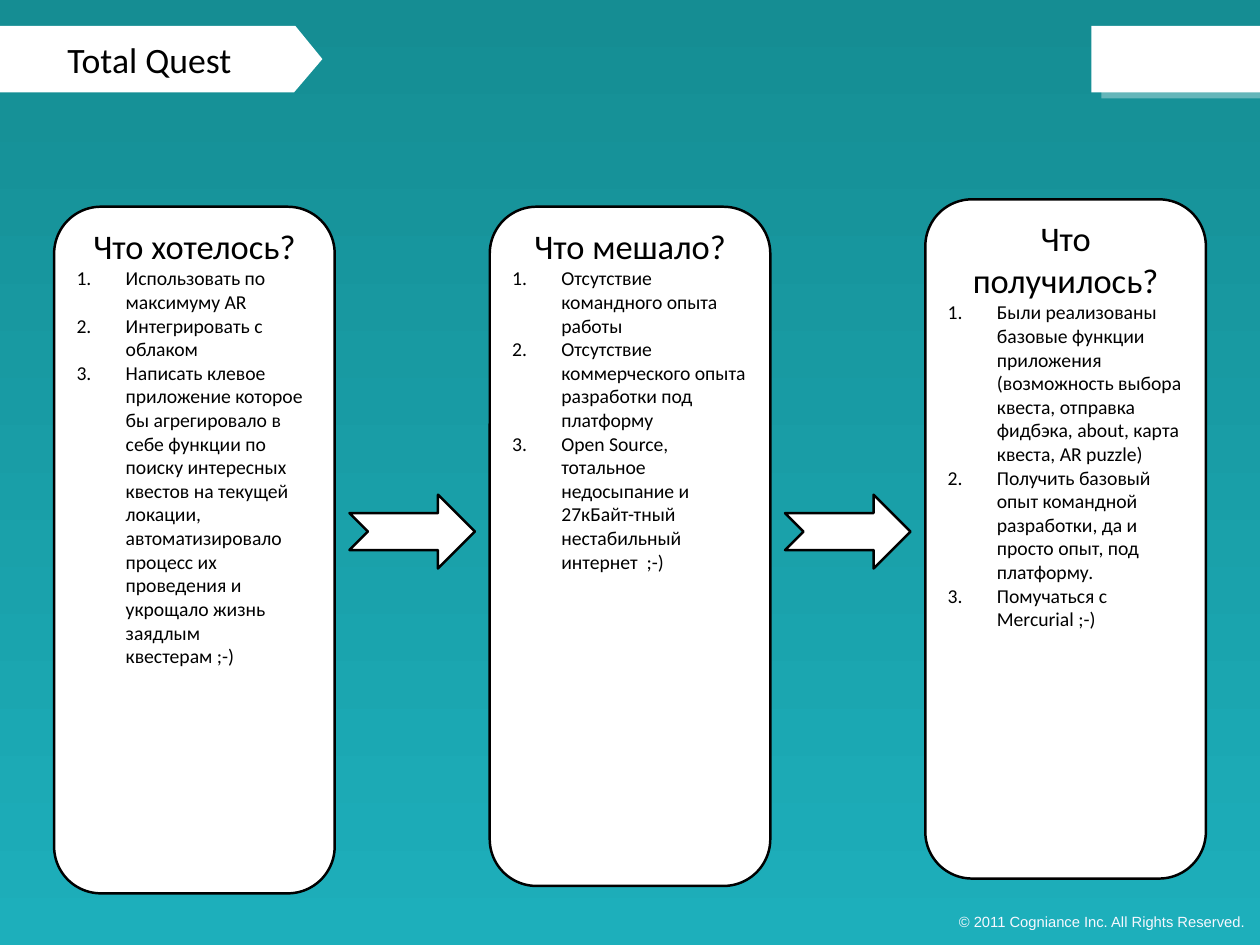
from dataclasses import dataclass
from lxml.etree import SubElement as Sub
from pptx import Presentation
from pptx.dml.color import RGBColor as Rgb
from pptx.enum.shapes import MSO_SHAPE as Shape
from pptx.enum.text import MSO_ANCHOR as Anchor, MSO_AUTO_SIZE as Auto, PP_ALIGN as Align
from pptx.oxml.ns import qn
from pptx.util import Pt

# The slide is a grid of 1024 columns by 768 rows, one point each
COLS, ROWS = 1024, 768
PITCH = 354  # from one card to the next
CARD_X, CARD_W = 44, 228
ARROW_X, ARROW_Y, ARROW_W, ARROW_H = 284, 402, 102, 60
BAND_Y, BAND_H = 21, 54

HUES = {
    "top": "158D93",
    "base": "1DAFBB",
    "white": "FFFFFF",
    "ink": "000000",
    "note": "F6F8FF",
}


@dataclass
class Card:
    head: str
    items: list[str]
    top: int
    high: int


CARDS = [
    Card("Что хотелось?", [
        "Использовать по максимуму AR",
        "Интегрировать с облаком",
        "Написать клевое приложение которое бы агрегировало в себе функции по "
        "поиску интересных квестов на текущей локации, автоматизировало процесс "
        "их проведения и укрощало жизнь заядлым квестерам ;-)",
    ], 168, 558),
    Card("Что мешало?", [
        "Отсутствие командного опыта работы",
        "Отсутствие коммерческого опыта разработки под платформу",
        "Open Source, тотальное недосыпание и 27кБайт-тный нестабильный "
        "интернет  ;-)",
    ], 168, 552),
    Card("Что получилось?", [
        "Были реализованы базовые функции приложения (возможность выбора "
        "квеста, отправка фидбэка, about, карта квеста, AR puzzle)",
        "Получить базовый опыт командной разработки, да и просто опыт, под "
        "платформу.",
        "Помучаться с Mercurial ;-)",
    ], 162, 552),
]


def hue(name: str) -> Rgb:
    return Rgb.from_string(HUES[name])


def paint(shape, edge: bool = False) -> None:
    shape.shadow.inherit = False
    shape.fill.solid()
    shape.fill.fore_color.rgb = hue("white")
    if edge:
        shape.line.color.rgb = hue("ink")
        shape.line.width = Pt(2)
    else:
        shape.line.fill.background()


def block(kind: Shape, x: int, y: int, w: int, h: int, edge: bool = False):
    shape = slide.shapes.add_shape(kind, Pt(x), Pt(y), Pt(w), Pt(h))
    paint(shape, edge)
    return shape


def write(para, text: str, size: int, align: Align,
          font: str = "Calibri", tint: str = "ink") -> None:
    para.alignment = align
    run = para.add_run()
    run.text = text
    run.font.size = Pt(size)
    run.font.name = font
    run.font.color.rgb = hue(tint)


def number(para) -> None:
    props = para._p.get_or_add_pPr()
    props.set("marL", str(Pt(40)))
    props.set("indent", str(-Pt(40)))
    Sub(props, qn("a:buFont")).set("typeface", "Calibri")
    Sub(props, qn("a:buAutoNum")).set("type", "arabicPeriod")


def trim(frame) -> None:
    frame.margin_left = frame.margin_right = 0
    frame.margin_top = frame.margin_bottom = 0
    frame.word_wrap = True
    frame.auto_size = Auto.NONE
    frame.vertical_anchor = Anchor.MIDDLE


def draw_card(card: Card, x: int) -> None:
    shape = block(Shape.ROUNDED_RECTANGLE, x, card.top, CARD_W, card.high, True)
    frame = shape.text_frame
    frame.word_wrap = True
    frame.vertical_anchor = Anchor.TOP
    write(frame.paragraphs[0], card.head, 28, Align.CENTER)
    for item in card.items:
        para = frame.add_paragraph()
        number(para)
        write(para, item, 16, Align.LEFT)


deck = Presentation()
deck.slide_width, deck.slide_height = Pt(COLS), Pt(ROWS)
slide = deck.slides.add_slide(deck.slide_layouts[5])

# Background
back = slide.background.fill
back.gradient()
back.gradient_angle = 270
for stop, name, spot in zip(back.gradient_stops, ("top", "base"), (0, 1)):
    stop.color.rgb = hue(name)
    stop.position = spot

# Copyright line
note = slide.shapes.add_textbox(Pt(672), Pt(742), Pt(340), Pt(14))
trim(note.text_frame)
write(note.text_frame.paragraphs[0], "© 2011 Cogniance Inc. All Rights Reserved.",
      12, Align.RIGHT, "Arial", "note")

# Right tab with its pale shade
shade = block(Shape.RECTANGLE, 895, BAND_Y + 5, COLS - 895, BAND_H)
tone = shade.fill._xPr.find(qn("a:solidFill"))[0]
Sub(tone, qn("a:alpha")).set("val", "34000")
block(Shape.RECTANGLE, 887, BAND_Y, COLS - 887, BAND_H)

# Title banner
low = BAND_Y + BAND_H
pen = slide.shapes.build_freeform(0, low, scale=Pt(1))
pen.add_line_segments([(239, low), (262, BAND_Y + BAND_H / 2),
                       (240, BAND_Y), (0, BAND_Y)], close=True)
paint(pen.convert_to_shape())

# Title, brought in front of the banner
title = slide.shapes.title
slide.shapes._spTree.append(title._element)
title.left, title.top, title.width, title.height = Pt(12), Pt(30), Pt(219), Pt(36)
trim(title.text_frame)
write(title.text_frame.paragraphs[0], "Total Quest", 29, Align.CENTER)

# Cards and the arrows between them
for col, card in enumerate(CARDS):
    draw_card(card, CARD_X + col * PITCH)
for gap in range(len(CARDS) - 1):
    block(Shape.NOTCHED_RIGHT_ARROW, ARROW_X + gap * PITCH, ARROW_Y,
          ARROW_W, ARROW_H, True)

deck.save("out.pptx")
